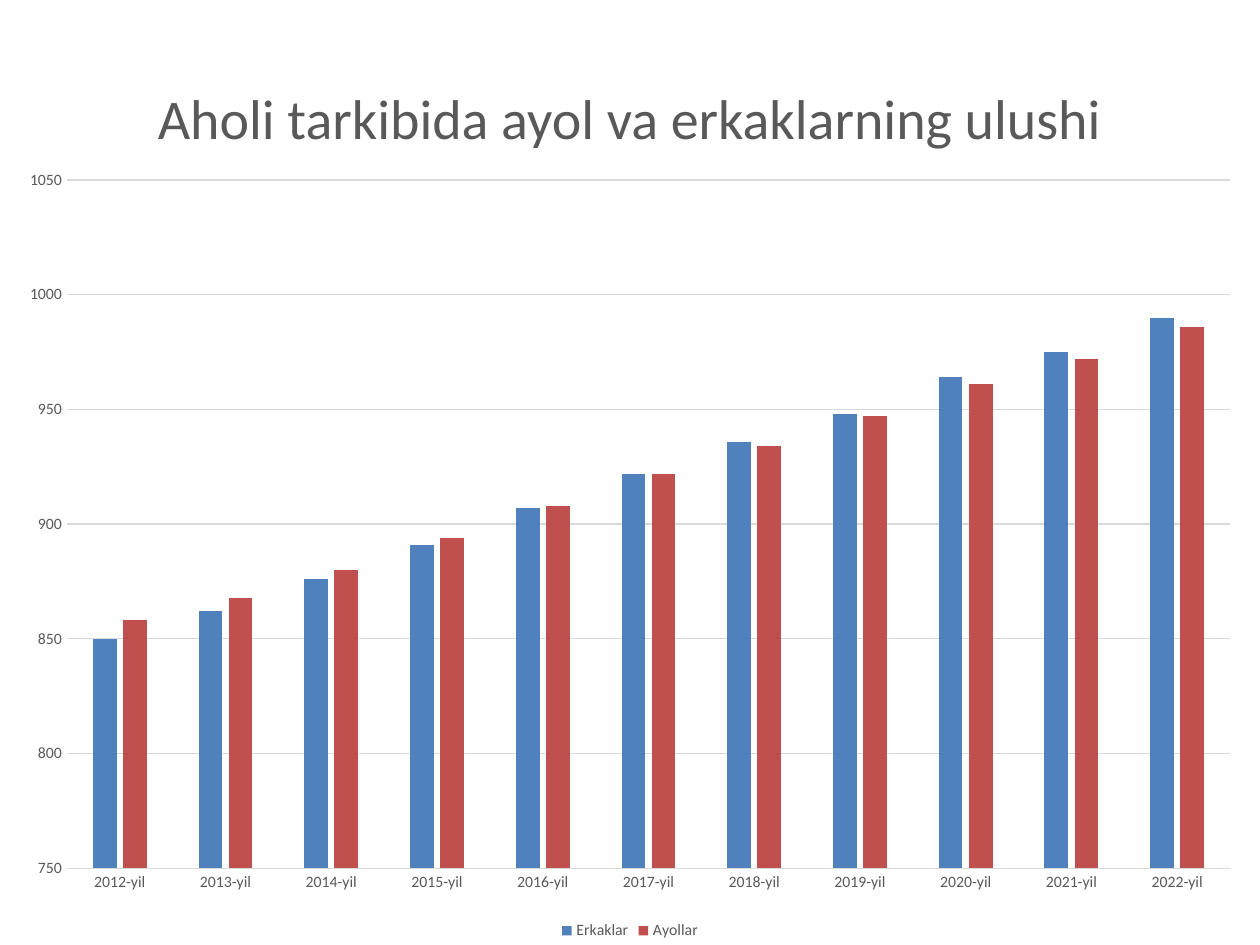
"""Build a slide with a clustered column chart of men and women by year."""
from dataclasses import dataclass

from pptx import Presentation
from pptx.chart.data import CategoryChartData
from pptx.dml.color import RGBColor
from pptx.enum.chart import XL_CHART_TYPE as CT, XL_LEGEND_POSITION as LP, XL_TICK_MARK as TM
from pptx.enum.text import MSO_ANCHOR, PP_ALIGN
from pptx.util import Pt

PX = 914400 / 126
FONT = "Calibri"
COLORS = {"text": "595959", "line": "D9D9D9", "men": "4F81BD", "women": "C0504D"}


@dataclass
class Series:
    name: str
    color: str
    values: list[int]


YEARS = [f"{year}-yil" for year in range(2012, 2023)]
SERIES = [
    Series("Erkaklar", "men", [850, 862, 876, 891, 907, 922, 936, 948, 964, 975, 990]),
    Series("Ayollar", "women", [858, 868, 880, 894, 908, 922, 934, 947, 961, 972, 986]),
]


def px(*lengths: int) -> list[int]:
    return [round(n * PX) for n in lengths]


def rgb(name: str) -> RGBColor:
    return RGBColor.from_string(COLORS[name])


def set_font(font, size: int, color: str = "text") -> None:
    font.name, font.size, font.bold = FONT, Pt(size), False
    font.color.rgb = rgb(color)


def set_line(line) -> None:
    line.color.rgb = rgb("line")
    line.width = Pt(0.75)


def add_text(slide, text: str, *, box: tuple, size: int, color: str = "text",
             align=PP_ALIGN.CENTER, anchor=MSO_ANCHOR.MIDDLE) -> None:
    tf = slide.shapes.add_textbox(*px(*box)).text_frame
    tf.word_wrap = True
    tf.vertical_anchor = anchor
    p = tf.paragraphs[0]
    p.alignment = align
    r = p.add_run()
    r.text = text
    set_font(r.font, size, color)


def style_axis(axis) -> None:
    axis.major_tick_mark = axis.minor_tick_mark = TM.NONE
    set_font(axis.tick_labels.font, 9)


def add_columns(slide, series: list[Series], *, box: tuple) -> None:
    data = CategoryChartData()
    data.categories = YEARS
    for s in series:
        data.add_series(s.name, s.values)
    chart = slide.shapes.add_chart(CT.COLUMN_CLUSTERED, *px(*box), data).chart
    set_font(chart.font, 10)
    chart.has_title = False
    chart.has_legend = True
    chart.legend.position = LP.BOTTOM
    chart.legend.include_in_layout = False
    set_font(chart.legend.font, 9)

    plot = chart.plots[0]
    plot.gap_width, plot.overlap, plot.vary_by_categories = 219, -27, False
    for s, bars in zip(series, plot.series):
        bars.format.fill.solid()
        bars.format.fill.fore_color.rgb = rgb(s.color)

    cat, val = chart.category_axis, chart.value_axis
    style_axis(cat)
    style_axis(val)
    set_line(cat.format.line)
    val.format.line.fill.background()
    val.has_major_gridlines = True
    set_line(val.major_gridlines.format.line)
    val.minimum_scale, val.maximum_scale, val.major_unit = 750, 1050, 50


def main() -> None:
    prs = Presentation()
    prs.slide_width, prs.slide_height = px(1260, 945)
    slide = prs.slides.add_slide(prs.slide_layouts[6])
    add_text(slide, "Aholi tarkibida ayol va erkaklarning ulushi",
             box=(63, 38, 1134, 158), size=32)
    add_columns(slide, SERIES, box=(5, 155, 1250, 790))
    prs.save("out.pptx")


if __name__ == "__main__":
    main()
